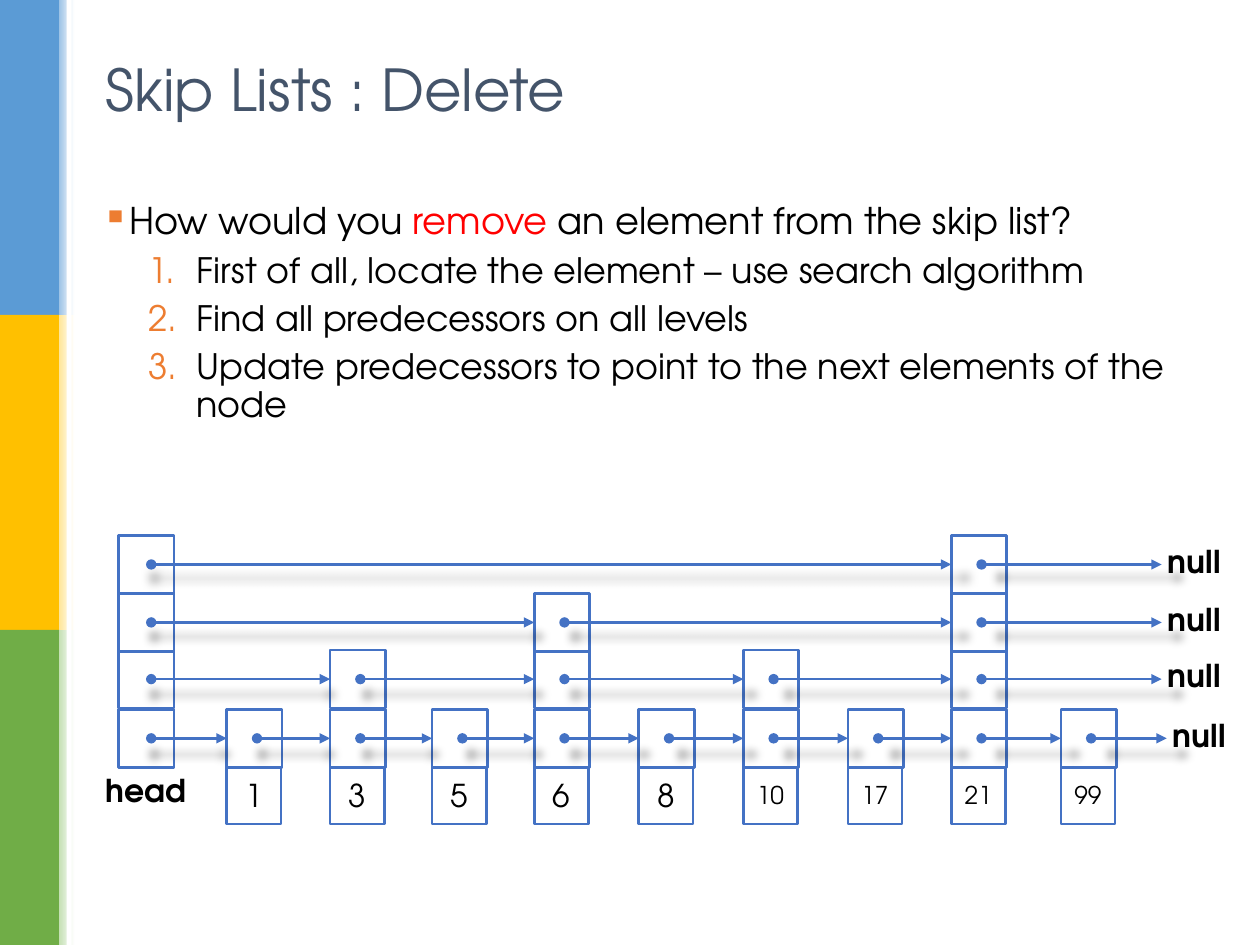
from lxml.etree import SubElement, fromstring
from pptx import Presentation
from pptx.dml.color import RGBColor
from pptx.enum.shapes import MSO_CONNECTOR, MSO_SHAPE
from pptx.enum.text import MSO_ANCHOR, PP_ALIGN
from pptx.oxml.ns import qn
from pptx.util import Inches, Pt

DRAWING = "http://schemas.openxmlformats.org/drawingml/2006/main"
BLUE = "4472C4"
BLACK = "000000"


def ink(code):
    return RGBColor.from_string(code)


def write(paragraph, words, size, code, bold=None):
    run = paragraph.add_run()
    run.text = words
    for name, value in {"name": "TeX Gyre Adventor", "size": Pt(size), "bold": bold}.items():
        setattr(run.font, name, value)
    run.font.color.rgb = ink(code)
    return run


deck = Presentation()
deck.slide_width, deck.slide_height = Inches(10), Inches(7.5)
unit = deck.slide_width // 1000
slide = deck.slides.add_slide(deck.slide_layouts[6])
shapes = slide.shapes

band_height = deck.slide_height // 3
for row, (strong, pale) in enumerate([("5B9BD5", "9DC3E6"), ("FFC000", "FFE699"), ("70AD47", "C5E0B4")]):
    band = shapes.add_shape(MSO_SHAPE.RECTANGLE, 0, row * band_height, 47 * unit, band_height)
    band.fill.solid()
    band.fill.fore_color.rgb = ink(strong)
    fade = shapes.add_shape(MSO_SHAPE.RECTANGLE, 47 * unit, row * band_height, 12 * unit, band_height)
    fade.fill.gradient()
    fade.fill.gradient_angle = 0
    for stop, code in zip(fade.fill.gradient_stops, (pale, "FFFFFF")):
        stop.color.rgb = ink(code)
    for part in (band, fade):
        part.line.fill.background()
        part.shadow.inherit = False

gap = shapes.add_shape(MSO_SHAPE.RECTANGLE, 53 * unit, 0, 4 * unit, deck.slide_height)
gap.fill.solid()
gap.fill.fore_color.rgb = ink("FFFFFF")
gap.line.fill.background()
gap.shadow.inherit = False

title = shapes.add_textbox(74 * unit, 36 * unit, 862 * unit, 68 * unit).text_frame
for name, value in {"word_wrap": True, "vertical_anchor": MSO_ANCHOR.MIDDLE}.items():
    setattr(title, name, value)
write(title.paragraphs[0], "Skip Lists : Delete", 33, "44546A")

body = shapes.add_textbox(71 * unit, 156 * unit, 915 * unit, 377 * unit).text_frame
body.word_wrap = True
question = [("How would you ", BLACK), ("remove", "FF0000"), (" an element from the skip list?", BLACK)]
steps = [
    "First of all, locate the element – use search algorithm",
    "Find all predecessors on all levels",
    "Update predecessors to point to the next elements of the node",
]
for index, pieces in enumerate([question] + [[(step, BLACK)] for step in steps]):
    point = body.add_paragraph() if index else body.paragraphs[0]
    for name, value in {"level": min(index, 1), "line_spacing": 0.9, "space_before": Pt(6)}.items():
        setattr(point, name, value)
    for words, code in pieces:
        write(point, words, 20 if index else 21, code)
    margin, hang = (75, 38) if index else (19, 19)
    layout = point._p.get_or_add_pPr()
    layout.set("marL", str(margin * unit))
    layout.set("indent", str(-hang * unit))
    SubElement(SubElement(layout, qn("a:buClr")), qn("a:srgbClr"), val="ED7D31")
    if index:
        SubElement(layout, qn("a:buAutoNum"), type="arabicPeriod")
    else:
        SubElement(layout, qn("a:buChar"), char="▪")

columns = {"head": 94, "1": 180, "3": 262, "5": 343, "6": 424, "8": 507,
           "10": 590, "17": 673, "21": 755, "99": 842}
levels = [
    (563, list(columns), 926),
    (516, ["head", "3", "6", "10", "21"], 922),
    (471, ["head", "6", "21"], 922),
    (425, ["head", "21"], 922),
]

boxes = [(key, 608, 43, key) for key in columns if key != "head"]
boxes += [(key, top, 44, "") for top, keys, _ in levels for key in keys]
nodes = {}
for key, top, width, value in boxes:
    node = shapes.add_shape(MSO_SHAPE.RECTANGLE, columns[key] * unit, top * unit, width * unit, 46 * unit)
    node.fill.solid()
    node.fill.fore_color.rgb = ink("FFFFFF")
    node.line.color.rgb = ink(BLUE)
    node.line.width = Pt(1.5)
    node.shadow.inherit = False
    nodes[key, top] = node
    if value:
        node.text_frame.vertical_anchor = MSO_ANCHOR.MIDDLE
        number = node.text_frame.paragraphs[0]
        number.alignment = PP_ALIGN.CENTER
        write(number, value, 18 if len(value) == 1 else 14, BLACK)

for top, keys, null_left in levels:
    middle = (top + 23) * unit
    for key, following in zip(keys, keys[1:] + [None]):
        start = columns[key] + (26 if key == "head" else 24)
        pointer = shapes.add_connector(MSO_CONNECTOR.STRAIGHT, start * unit, middle, null_left * unit, middle)
        if following:
            pointer.end_connect(nodes[following, top], 1)
        pointer.line.color.rgb = ink(BLUE)
        pointer.line.width = Pt(1.5)
        stroke = pointer.line._get_or_add_ln()
        SubElement(stroke, qn("a:headEnd"), type="oval")
        SubElement(stroke, qn("a:tailEnd"), type="triangle")
        pointer._element.spPr.append(fromstring(
            f'<a:effectLst xmlns:a="{DRAWING}"><a:outerShdw blurRad="63500" dist="12700" dir="5400000" '
            'sx="102000" sy="102000" algn="ctr" rotWithShape="0">'
            '<a:srgbClr val="000000"><a:alpha val="32000"/></a:srgbClr></a:outerShdw></a:effectLst>'))

labels = [("head", 74, 607, 87)]
labels += [("null", null_left - 5, top, 63) for top, _, null_left in levels]
for words, left, top, width in labels:
    label = shapes.add_textbox(left * unit, top * unit, width * unit, 40 * unit).text_frame
    label.word_wrap = False
    run = write(label.paragraphs[0], words, 18, BLACK, True)
    run.font._element.insert(0, fromstring(
        f'<a:ln xmlns:a="{DRAWING}" w="9525"><a:solidFill><a:srgbClr val="DEEBF7"/></a:solidFill></a:ln>'))

deck.save("out.pptx")
